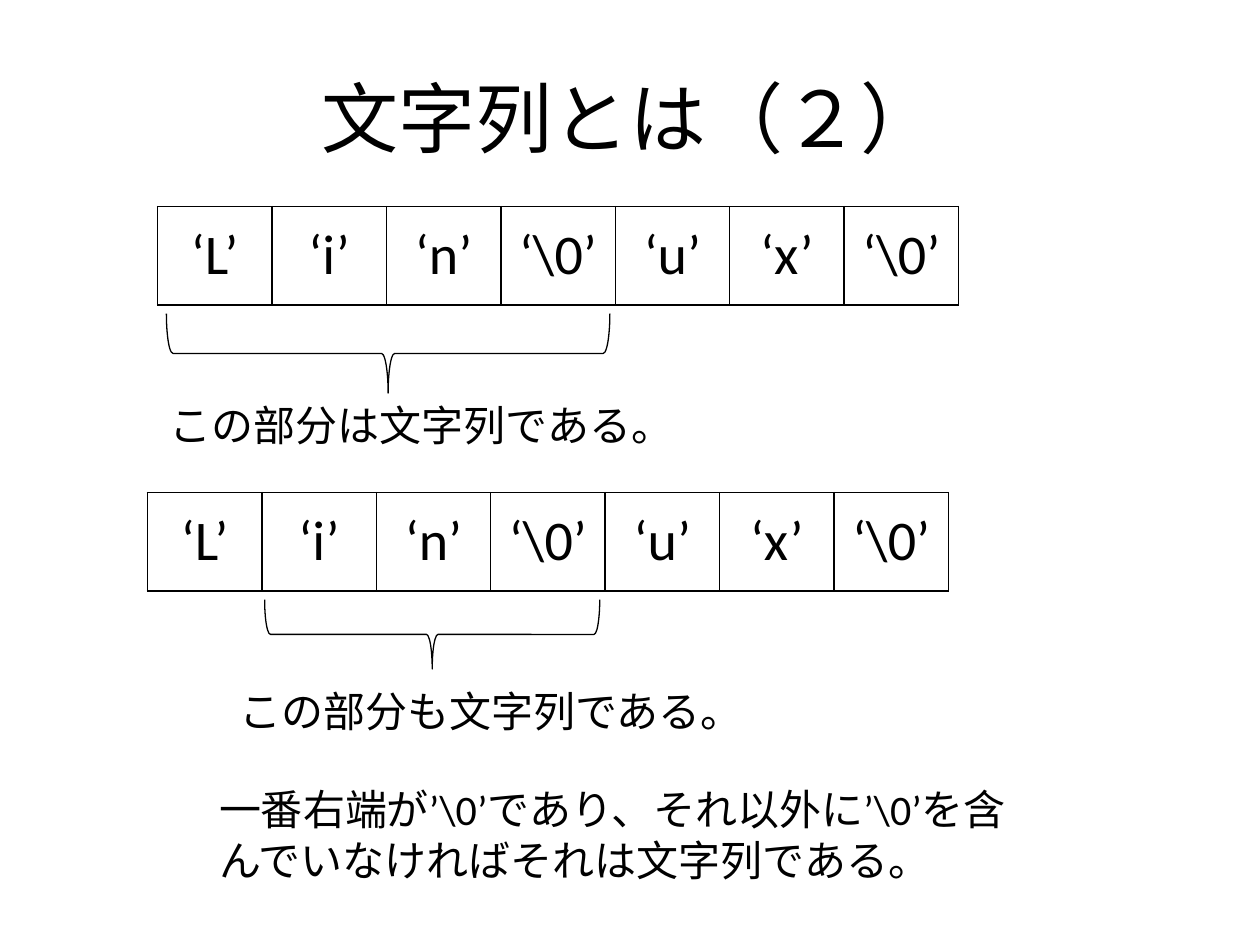
from lxml.etree import SubElement
from pptx import Presentation
from pptx.dml.color import RGBColor
from pptx.enum.shapes import MSO_SHAPE as Shape
from pptx.enum.text import MSO_ANCHOR as Anchor, MSO_AUTO_SIZE as AutoSize, PP_ALIGN as Align
from pptx.oxml.ns import qn
from pptx.util import Inches, Pt

BLACK = "000000"
FONT = "Calibri"
CHARACTERS = ["‘L’", "‘i’", "‘n’", "‘\\0’", "‘u’", "‘x’", "‘\\0’"]
ARRAY_WIDTH, ARRAY_HEIGHT = 6.36, 0.78


def color(hex_code):
    return RGBColor.from_string(hex_code)


def write(frame, text, size, align=Align.LEFT):
    frame.text = text
    paragraph = frame.paragraphs[0]
    paragraph.alignment = align
    for run in paragraph.runs:
        run.font.name = FONT
        run.font.size = Pt(size)
        run.font.bold = False
        run.font.color.rgb = color(BLACK)
        SubElement(run._r.get_or_add_rPr(), qn("a:ea"), typeface=FONT)


def add_title(slide, text):
    title = slide.shapes.title
    title.left, title.top = Inches(0.5), Inches(0.3)
    title.width, title.height = Inches(9), Inches(1.25)
    title.text_frame.vertical_anchor = Anchor.MIDDLE
    write(title.text_frame, text, 44, Align.CENTER)


def add_borders(cell):
    properties = cell._tc.get_or_add_tcPr()
    for side in ("a:lnL", "a:lnR", "a:lnT", "a:lnB"):
        border = SubElement(properties, qn(side), w=str(Pt(1)))
        fill = SubElement(border, qn("a:solidFill"))
        SubElement(fill, qn("a:srgbClr"), val=BLACK)


def add_array(slide, left, top):
    array = slide.shapes.add_table(
        1, len(CHARACTERS), Inches(left), Inches(top), Inches(ARRAY_WIDTH), Inches(ARRAY_HEIGHT)
    ).table
    array.first_row = False
    array.horz_banding = False
    for cell, character in zip(array.iter_cells(), CHARACTERS):
        add_borders(cell)
        cell.fill.background()
        cell.vertical_anchor = Anchor.MIDDLE
        write(cell.text_frame, character, 32, Align.CENTER)


def add_brace(slide, left, top, span, depth):
    brace = slide.shapes.add_shape(
        Shape.RIGHT_BRACE,
        Inches(left + (span - depth) / 2),
        Inches(top - (span - depth) / 2),
        Inches(depth),
        Inches(span),
    )
    brace.rotation = 90
    brace.shadow.inherit = False
    brace.fill.background()
    brace.line.color.rgb = color(BLACK)
    brace.line.width = Pt(0.75)


def add_note(slide, text, left, top, width, height, wrap=False):
    note = slide.shapes.add_textbox(Inches(left), Inches(top), Inches(width), Inches(height))
    note.text_frame.word_wrap = wrap
    note.text_frame.auto_size = AutoSize.SHAPE_TO_FIT_TEXT
    write(note.text_frame, text, 24)


def main():
    deck = Presentation()
    deck.slide_width, deck.slide_height = Inches(10), Inches(7.5)
    slide = deck.slides.add_slide(deck.slide_layouts[5])

    add_title(slide, "文字列とは（２）")

    add_array(slide, 1.25, 1.64)
    add_note(slide, "この部分は文字列である。", 1.25, 3.12, 3.96, 0.5)
    add_brace(slide, 1.32, 2.49, 3.52, 0.63)

    add_array(slide, 1.17, 3.91)
    add_note(slide, "この部分も文字列である。", 1.8, 5.39, 3.9, 0.5)
    add_brace(slide, 2.1, 4.76, 2.66, 0.55)

    add_note(
        slide,
        "一番右端が’\\0’であり、それ以外に’\\0’を含んでいなければそれは文字列である。",
        1.64, 6.17, 6.64, 0.91, wrap=True,
    )

    deck.save("out.pptx")


if __name__ == "__main__":
    main()
